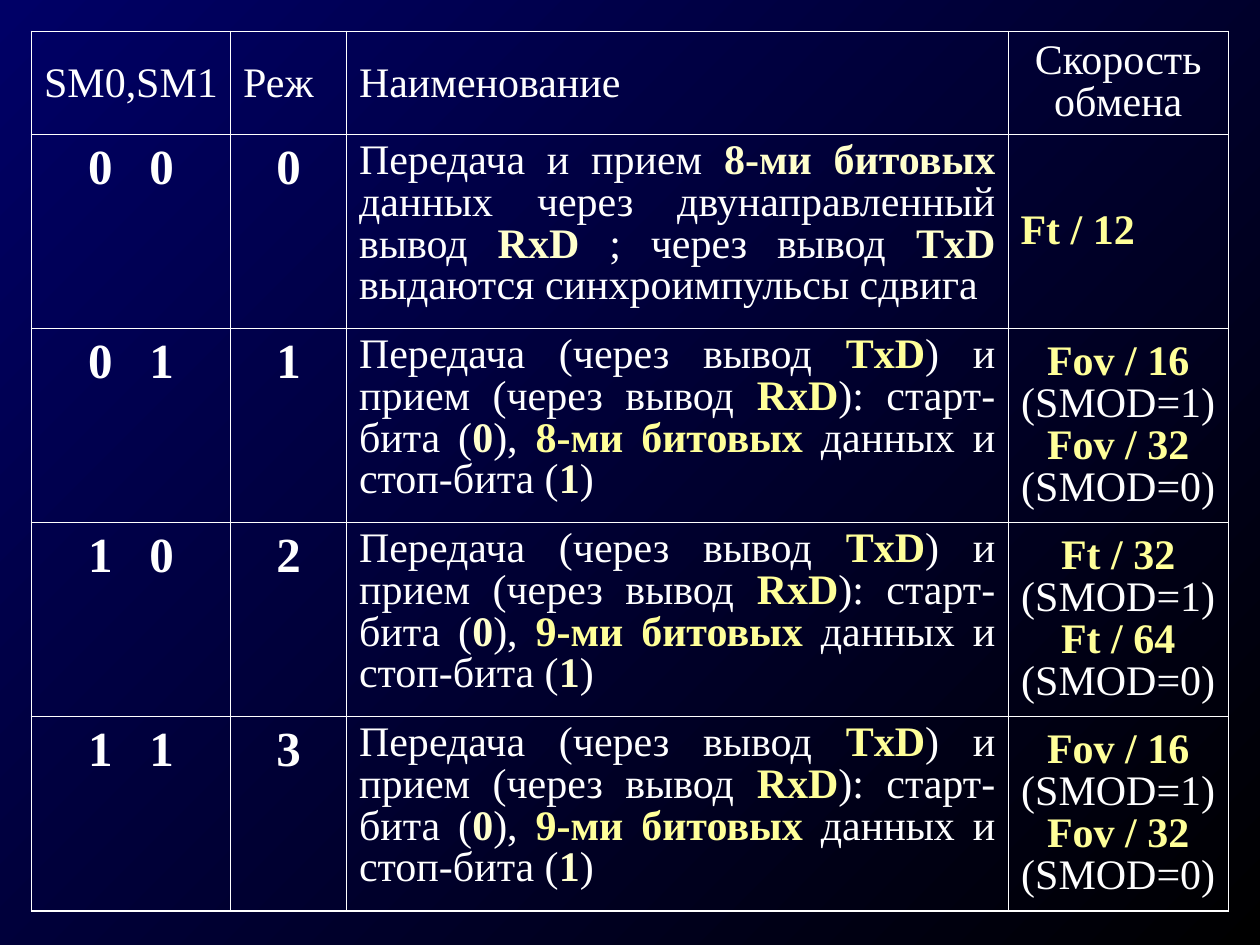
import pptx
import pptx.dml.color
import pptx.enum.text
import pptx.oxml.ns
import pptx.util
from lxml import etree
from pptx.util import Inches

RGB = pptx.dml.color.RGBColor.from_string
ALIGN = pptx.enum.text.PP_ALIGN
ANCHOR = pptx.enum.text.MSO_ANCHOR

THEME = {
    "font": "Times New Roman", "text": 24, "code": 28,
    "white": "FFFFFF", "cream": "FFFFCC", "yellow": "FFFF99",
    "bg_start": "000066", "bg_end": "000000",
    "outer_line": 1.08, "inner_line": 0.45,
}


def add_run(p, text, color="white", size="text", bold=False):
    r = p.add_run()
    r.text = text
    r.font.name = THEME["font"]
    r.font.size = pptx.util.Pt(THEME[size])
    r.font.bold = bold
    r.font.color.rgb = RGB(THEME[color])
    return r


def set_border(cell, side, width):
    """Draw one side (L, R, T or B) of a cell; width is in points."""
    tc_pr = cell._tc.get_or_add_tcPr()
    ln = etree.SubElement(tc_pr, pptx.oxml.ns.qn(f"a:ln{side}"),
                          w=str(pptx.util.Pt(width)))
    fill = etree.SubElement(ln, pptx.oxml.ns.qn("a:solidFill"))
    etree.SubElement(fill, pptx.oxml.ns.qn("a:srgbClr"), val=THEME["white"])


prs = pptx.Presentation()
prs.slide_width, prs.slide_height = Inches(10), Inches(7.5)
s = prs.slides.add_slide(prs.slide_layouts[6])

bg = s.background.fill
bg.gradient()
bg.gradient_angle = 315
for stop, name in zip(bg.gradient_stops, ("bg_start", "bg_end")):
    stop.color.rgb = RGB(THEME[name])

headers = ["SM0,SM1", "Реж", "Наименование", "Скорость обмена"]
sync_description = [
    ("Передача и прием ", "white"), ("8-ми битовых", "cream"),
    (" данных через двунаправленный вывод ", "white"), ("RxD", "cream"),
    (" ; через вывод ", "white"), ("TxD", "cream"),
    (" выдаются синхроимпульсы сдвига", "white"),
]
descriptions = [sync_description] + [
    [
        ("Передача (через вывод ", "white"), ("TxD", "yellow"),
        (") и прием (через вывод ", "white"), ("RxD", "yellow"),
        ("): старт-бита (", "white"), ("0", "cream"), ("), ", "white"),
        (f"{bits}-ми битовых", "yellow"),
        (" данных и стоп-бита (", "white"), ("1", "cream"), (")", "white"),
    ]
    for bits in (8, 9, 9)
]
rates = [
    ["Ft / 12"],
    ["Fov / 16", "(SMOD=1)", "Fov / 32", "(SMOD=0)"],
    ["Ft / 32", "(SMOD=1)", "Ft / 64", "(SMOD=0)"],
    ["Fov / 16", "(SMOD=1)", "Fov / 32", "(SMOD=0)"],
]

col_widths = [1.58, 0.92, 5.25, 1.75]
row_heights = [0.82] + [1.54] * 4
n_rows, n_cols = len(row_heights), len(col_widths)
table = s.shapes.add_table(n_rows, n_cols, Inches(0.25), Inches(0.25),
                           Inches(9.5), Inches(6.98)).table
table.first_row = table.horz_banding = False
for col, width in zip(table.columns, col_widths):
    col.width = Inches(width)
for row, height in zip(table.rows, row_heights):
    row.height = Inches(height)

for i in range(n_rows):
    for j in range(n_cols):
        cell = table.cell(i, j)
        on_edge = {"L": j == 0, "R": j == n_cols - 1,
                   "T": i == 0, "B": i == n_rows - 1}
        for side, outer in on_edge.items():
            set_border(cell, side, THEME["outer_line" if outer else "inner_line"])
        cell.fill.background()
        cell.margin_left = cell.margin_right = Inches(0.1)
        cell.margin_top = cell.margin_bottom = Inches(0.05)
        centred = i == 0 or j == n_cols - 1
        cell.vertical_anchor = ANCHOR.MIDDLE if centred else ANCHOR.TOP

for j, header in enumerate(headers):
    p = table.cell(0, j).text_frame.paragraphs[0]
    add_run(p, header)
    if j == n_cols - 1:
        p.alignment = ALIGN.CENTER
        p.line_spacing = 0.9

for mode, (description, rate) in enumerate(zip(descriptions, rates)):
    bits_cell, mode_cell, name_cell, rate_cell = table.rows[mode + 1].cells

    p = bits_cell.text_frame.paragraphs[0]
    p.alignment = ALIGN.CENTER
    add_run(p, str(mode // 2), size="code", bold=True)
    gap = add_run(p, " ", size="code", bold=True)
    gap._r.get_or_add_rPr().set("spc", "1400")
    add_run(p, str(mode % 2), size="code", bold=True)

    p = mode_cell.text_frame.paragraphs[0]
    p.alignment = ALIGN.CENTER
    add_run(p, str(mode), size="code", bold=True)

    p = name_cell.text_frame.paragraphs[0]
    p.alignment = ALIGN.JUSTIFY
    p.line_spacing = 0.9
    for text, color in description:
        add_run(p, text, color, bold=color != "white")

    tf = rate_cell.text_frame
    for k, line in enumerate(rate):
        p = tf.add_paragraph() if k else tf.paragraphs[0]
        p.alignment = ALIGN.CENTER if len(rate) > 1 else ALIGN.LEFT
        p.line_spacing = 0.9
        is_rate = k % 2 == 0
        add_run(p, line, "yellow" if is_rate else "white", bold=is_rate)

prs.save("out.pptx")
